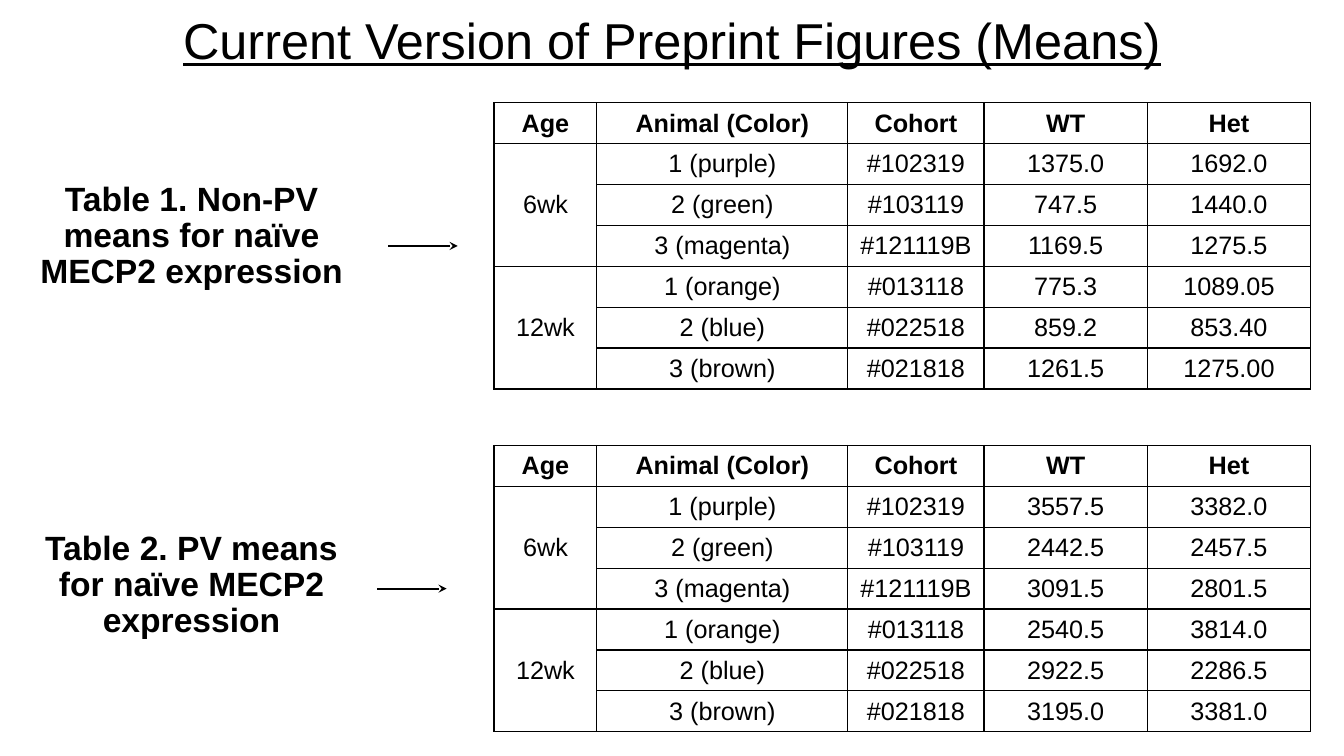
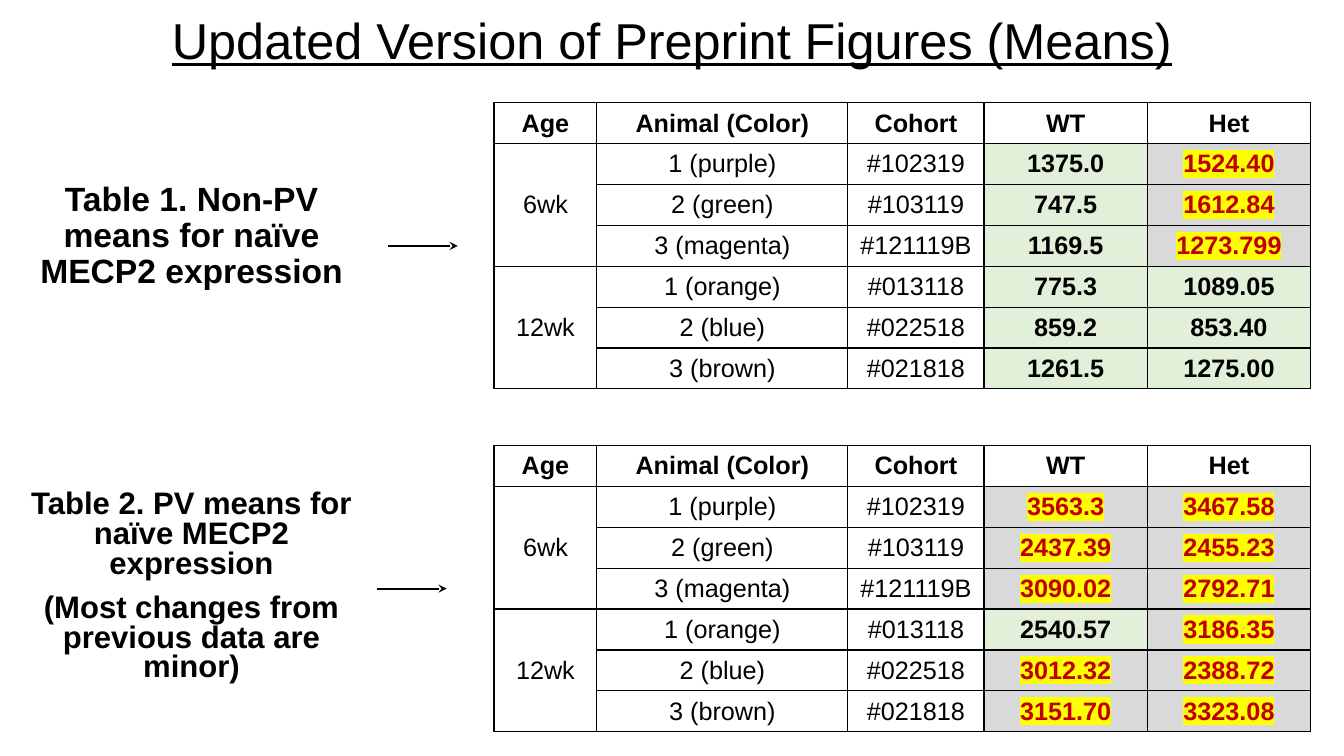
"""Build two slides that compare current and updated tables of means."""
import dataclasses

import lxml.etree
import pptx
import pptx.dml.color
import pptx.enum.shapes
import pptx.enum.text
import pptx.oxml.ns
import pptx.util

Inches = pptx.util.Inches
Pt = pptx.util.Pt
qn = pptx.oxml.ns.qn


@dataclasses.dataclass(frozen=True)
class Theme:
    """Hold the shared colours and type sizes."""
    font: str = "Arial"
    ink: str = "000000"
    paper: str = "FFFFFF"
    kept_fill: str = "E2F0D9"
    changed_fill: str = "D9D9D9"
    changed_ink: str = "C00000"
    marker: str = "FFFF00"
    title_size: float = 36
    caption_size: float = 24
    small_caption_size: float = 22.2
    cell_size: float = 18
    border: float = 1
    arrow: float = 1.5


THEME = Theme()
HEADINGS = ("Age", "Animal (Color)", "Cohort", "WT", "Het")
AGES = ("6wk", "12wk")
ANIMALS = (
    ("1 (purple)", "#102319"), ("2 (green)", "#103119"), ("3 (magenta)", "#121119B"),
    ("1 (orange)", "#013118"), ("2 (blue)", "#022518"), ("3 (brown)", "#021818"),
)
ANIMALS_PER_AGE = len(ANIMALS) // len(AGES)
COLUMN_WIDTHS = (1.02, 2.49, 1.35, 1.62, 1.62)
TABLE_LEFT, TABLE_HEIGHT = 4.9, 2.84
ROW_HEIGHT = TABLE_HEIGHT / (len(ANIMALS) + 1)
TABLE_TOPS = (1.02, 4.42)
ARROW_STARTS = ((3.85, 2.44), (3.74, 5.84))
ARROW_LENGTH = 0.69
CAPTION_LEFT, CAPTION_WIDTH = 0.2, 3.4
TOLERANCE = 0.1

CURRENT_NON_PV = (
    ("1375.0", "1692.0"), ("747.5", "1440.0"), ("1169.5", "1275.5"),
    ("775.3", "1089.05"), ("859.2", "853.40"), ("1261.5", "1275.00"),
)
CURRENT_PV = (
    ("3557.5", "3382.0"), ("2442.5", "2457.5"), ("3091.5", "2801.5"),
    ("2540.5", "3814.0"), ("2922.5", "2286.5"), ("3195.0", "3381.0"),
)
UPDATED_NON_PV = (
    ("1375.0", "1524.40"), ("747.5", "1612.84"), ("1169.5", "1273.799"),
    ("775.3", "1089.05"), ("859.2", "853.40"), ("1261.5", "1275.00"),
)
UPDATED_PV = (
    ("3563.3", "3467.58"), ("2437.39", "2455.23"), ("3090.02", "2792.71"),
    ("2540.57", "3186.35"), ("3012.32", "2388.72"), ("3151.70", "3323.08"),
)
NON_PV_CAPTION = "Table 1. Non-PV means for naïve MECP2 expression"
PV_CAPTION = "Table 2. PV means for naïve MECP2 expression"


def rgb(value):
    """Turn a hex string into a colour."""
    return pptx.dml.color.RGBColor.from_string(value)


def write_text(frame, text, *, size, color=THEME.ink, bold=False, underline=False,
               highlight=None, line_spacing=None, space_before=None):
    """Write centred paragraphs, one for each line of text."""
    for index, line in enumerate(text.split("\n")):
        paragraph = frame.add_paragraph() if index else frame.paragraphs[0]
        paragraph.alignment = pptx.enum.text.PP_ALIGN.CENTER
        if line_spacing is not None:
            paragraph.line_spacing = line_spacing
        if space_before is not None:
            paragraph.space_before = Pt(space_before)
        run = paragraph.add_run()
        run.text = line
        run.font.name = THEME.font
        run.font.size = Pt(size)
        run.font.bold = bold
        run.font.underline = underline
        run.font.color.rgb = rgb(color)
        if highlight:
            mark = lxml.etree.Element(qn("a:highlight"))
            lxml.etree.SubElement(mark, qn("a:srgbClr"), val=highlight)
            run.font._element.find(qn("a:solidFill")).addnext(mark)


def add_label(slide, text, left, top, width, height, *, middle=False, **text_format):
    """Add a wrapping text box."""
    label = slide.shapes.add_textbox(Inches(left), Inches(top), Inches(width), Inches(height))
    frame = label.text_frame
    frame.word_wrap = True
    if middle:
        frame.vertical_anchor = pptx.enum.text.MSO_ANCHOR.MIDDLE
    write_text(frame, text, **text_format)


def add_arrow(slide, left, top):
    """Add a horizontal arrow that points at a table."""
    arrow = slide.shapes.add_connector(
        pptx.enum.shapes.MSO_CONNECTOR.STRAIGHT,
        Inches(left), Inches(top), Inches(left + ARROW_LENGTH), Inches(top))
    arrow.line.color.rgb = rgb(THEME.ink)
    arrow.line.width = Pt(THEME.arrow)
    properties = arrow._element.spPr
    lxml.etree.SubElement(properties.find(qn("a:ln")), qn("a:tailEnd"), type="stealth")
    lxml.etree.SubElement(properties, qn("a:effectLst"))


def style_cell(cell, fill):
    """Give a cell its borders, fill and anchor."""
    properties = cell._tc.get_or_add_tcPr()
    for side in ("a:lnL", "a:lnR", "a:lnT", "a:lnB"):
        border = lxml.etree.SubElement(properties, qn(side), w=str(Pt(THEME.border)))
        ink = lxml.etree.SubElement(border, qn("a:solidFill"))
        lxml.etree.SubElement(ink, qn("a:srgbClr"), val=THEME.ink)
    cell.fill.solid()
    cell.fill.fore_color.rgb = rgb(fill)
    cell.vertical_anchor = pptx.enum.text.MSO_ANCHOR.MIDDLE


def fill_cell(cell, text, *, fill=THEME.paper, **text_format):
    """Style a cell and write its text."""
    style_cell(cell, fill)
    if text:
        write_text(cell.text_frame, text, size=THEME.cell_size, **text_format)


def mean_format(value, previous):
    """Choose the look of a mean by whether it changed."""
    if previous is None:
        return {}
    if abs(float(value) - float(previous)) < TOLERANCE:
        return {"fill": THEME.kept_fill, "bold": True}
    return {"fill": THEME.changed_fill, "color": THEME.changed_ink,
            "highlight": THEME.marker, "bold": True}


def add_means_table(slide, top, means, previous=None, last_row=ROW_HEIGHT):
    """Add a table of means, marked against previous means if given."""
    table = slide.shapes.add_table(
        len(ANIMALS) + 1, len(HEADINGS), Inches(TABLE_LEFT), Inches(top),
        Inches(sum(COLUMN_WIDTHS)), Inches(TABLE_HEIGHT)).table
    table.first_row = table.horz_banding = False
    for column, width in zip(table.columns, COLUMN_WIDTHS):
        column.width = Inches(width)
    for row in table.rows:
        row.height = Inches(ROW_HEIGHT)
    table.rows[len(ANIMALS)].height = Inches(last_row)
    for column, heading in enumerate(HEADINGS):
        fill_cell(table.cell(0, column), heading, bold=True)
    for index, (animal, values) in enumerate(zip(ANIMALS, means)):
        row = index + 1
        group, position = divmod(index, ANIMALS_PER_AGE)
        age = "" if position else AGES[group]
        for column, text in enumerate((age, *animal)):
            fill_cell(table.cell(row, column), text)
        old_values = previous[index] if previous else (None, None)
        for column, (value, old) in enumerate(zip(values, old_values), 1 + len(animal)):
            fill_cell(table.cell(row, column), value, **mean_format(value, old))
    for first in range(1, len(ANIMALS) + 1, ANIMALS_PER_AGE):
        table.cell(first, 0).merge(table.cell(first + ANIMALS_PER_AGE - 1, 0))


def add_caption(slide, text, top, height, size=THEME.caption_size, line_spacing=0.9):
    """Add the bold caption beside a table."""
    add_label(slide, text, CAPTION_LEFT, top, CAPTION_WIDTH, height, size=size,
              bold=True, line_spacing=line_spacing, space_before=10)


def add_means_slide(deck, version):
    """Add a slide with its title, first caption and arrows."""
    slide = deck.slides.add_slide(deck.slide_layouts[6])
    add_label(slide, f"{version} Version of Preprint Figures (Means)", 0, 0, 13.33, 0.85,
              middle=True, size=THEME.title_size, underline=True, line_spacing=0.9)
    add_caption(slide, NON_PV_CAPTION, 1.76, 1.25)
    for start in ARROW_STARTS:
        add_arrow(slide, *start)
    return slide


def main():
    """Build and save the deck."""
    deck = pptx.Presentation()
    deck.slide_width, deck.slide_height = Inches(13.33), Inches(7.5)

    current = add_means_slide(deck, "Current")
    add_means_table(current, TABLE_TOPS[0], CURRENT_NON_PV)
    add_means_table(current, TABLE_TOPS[1], CURRENT_PV)
    add_caption(current, PV_CAPTION, 5.22, 1.25)

    updated = add_means_slide(deck, "Updated")
    add_means_table(updated, TABLE_TOPS[0], UPDATED_NON_PV, CURRENT_NON_PV, last_row=0.25)
    add_means_table(updated, TABLE_TOPS[1], UPDATED_PV, CURRENT_PV)
    add_caption(updated, PV_CAPTION + "\n(Most changes from previous data are minor)",
                4.82, 2.04, size=THEME.small_caption_size, line_spacing=0.8)

    deck.save("out.pptx")


if __name__ == "__main__":
    main()
